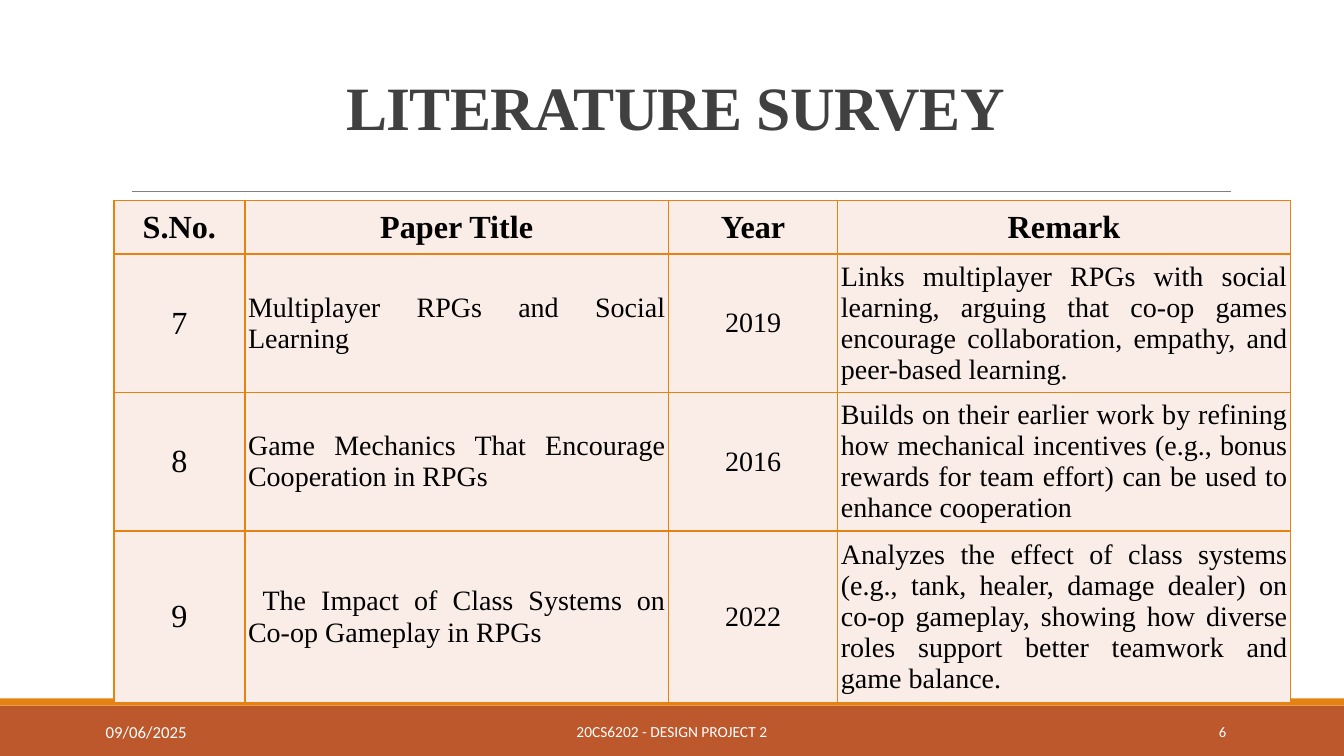
from lxml.etree import SubElement
from pptx import Presentation
from pptx.dml.color import RGBColor
from pptx.enum.shapes import MSO_CONNECTOR, MSO_SHAPE
from pptx.enum.text import MSO_ANCHOR, MSO_AUTO_SIZE, PP_ALIGN
from pptx.oxml.ns import qn
from pptx.util import Emu, Pt

SERIF = "Times New Roman"
SANS = "Calibri"
ORANGE = "E48312"
RUST = "BD582C"
WHITE = "FFFFFF"
BLACK = "000000"

HEADINGS = ("S.No.", "Paper Title", "Year", "Remark")
PAPERS = (
    ("7", "Multiplayer RPGs and Social Learning", "2019",
     "Links multiplayer RPGs with social learning, arguing that co-op games "
     "encourage collaboration, empathy, and peer-based learning."),
    ("8", "Game Mechanics That Encourage Cooperation in RPGs", "2016",
     "Builds on their earlier work by refining how mechanical incentives "
     "(e.g., bonus rewards for team effort) can be used to enhance cooperation"),
    ("9", " The Impact of Class Systems on Co-op Gameplay in RPGs", "2022",
     "Analyzes the effect of class systems (e.g., tank, healer, damage dealer) "
     "on co-op gameplay, showing how diverse roles support better teamwork "
     "and game balance."),
)
COLUMN_WIDTHS = (130, 420, 168, 449)
ROW_HEIGHTS = (53, 137, 137, 170)
BODY_SIZES = (23, 20, 20, 20)
BODY_ALIGNMENTS = (PP_ALIGN.CENTER, PP_ALIGN.JUSTIFY, PP_ALIGN.CENTER, PP_ALIGN.JUSTIFY)


def px(length):
    return Emu(length * 9144)


def colour(value):
    return RGBColor.from_string(value)


class SurveyPage:
    """Draws styled elements on one slide, in px of a hundredth of an inch."""

    def __init__(self, deck):
        self.page = deck.slides.add_slide(deck.slide_layouts[5])

    def set_text(self, frame, text, size, font, ink, align, bold=False):
        frame.text = text
        para = frame.paragraphs[0]
        para.alignment = align
        span = para.runs[0]
        span.font.size = Pt(size)
        span.font.name = font
        span.font.bold = bold
        span.font.color.rgb = colour(ink)
        return para

    def title(self, box, text):
        title = self.page.shapes.title
        title.left, title.top, title.width, title.height = map(px, box)
        frame = title.text_frame
        frame.auto_size = MSO_AUTO_SIZE.NONE
        frame.vertical_anchor = MSO_ANCHOR.MIDDLE
        para = self.set_text(frame, text, 44, SERIF, "404040", PP_ALIGN.CENTER, True)
        para.line_spacing = 0.85
        para.runs[0].font._element.set("spc", "-50")

    def band(self, box, fill):
        band = self.page.shapes.add_shape(MSO_SHAPE.RECTANGLE, *map(px, box))
        band.shadow.inherit = False
        band.fill.solid()
        band.fill.fore_color.rgb = colour(fill)
        band.line.fill.background()

    def rule(self, left, right, top):
        rule = self.page.shapes.add_connector(
            MSO_CONNECTOR.STRAIGHT, *map(px, (left, top, right, top)))
        rule.line.color.rgb = colour("808080")
        rule.line.width = Pt(0.5)
        SubElement(rule._element.spPr, qn("a:effectLst"))

    def label(self, box, text, size, align, anchor=MSO_ANCHOR.MIDDLE):
        frame = self.page.shapes.add_textbox(*map(px, box)).text_frame
        frame.word_wrap = True
        frame.vertical_anchor = anchor
        self.set_text(frame, text, size, SANS, WHITE, align)

    def cell(self, cell, text, size, align, bold):
        cell.margin_left = cell.margin_right = px(3)
        cell.margin_top = cell.margin_bottom = px(2)
        cell.vertical_anchor = MSO_ANCHOR.MIDDLE
        properties = cell._tc.get_or_add_tcPr()
        for side in ("a:lnL", "a:lnR", "a:lnT", "a:lnB"):
            border = SubElement(properties, qn(side), w=str(Pt(1)))
            fill = SubElement(border, qn("a:solidFill"))
            SubElement(fill, qn("a:srgbClr"), val=ORANGE)
        cell.fill.solid()
        cell.fill.fore_color.rgb = colour("FAEDE7")
        self.set_text(cell.text_frame, text, size, SERIF, BLACK, align, bold)

    def table(self, left, top):
        rows = (HEADINGS, *PAPERS)
        box = (left, top, sum(COLUMN_WIDTHS), sum(ROW_HEIGHTS))
        table = self.page.shapes.add_table(
            len(rows), len(HEADINGS), *map(px, box)).table
        for column, width in zip(table.columns, COLUMN_WIDTHS):
            column.width = px(width)
        for row, height in zip(table.rows, ROW_HEIGHTS):
            row.height = px(height)
        for row_number, texts in enumerate(rows):
            heading = row_number == 0
            for column_number, text in enumerate(texts):
                size = 23 if heading else BODY_SIZES[column_number]
                align = PP_ALIGN.CENTER if heading else BODY_ALIGNMENTS[column_number]
                self.cell(table.cell(row_number, column_number),
                          text, size, align, heading)


def main():
    deck = Presentation()
    deck.slide_width, deck.slide_height = px(1333), px(750)
    survey = SurveyPage(deck)
    survey.band((0, 700, 1333, 50), RUST)
    survey.band((0, 693, 1333, 7), ORANGE)
    survey.rule(131, 1221, 190)
    survey.title((120, 31, 1100, 159), "LITERATURE SURVEY")
    survey.label((403, 706, 527, 40), "20CS6202 - DESIGN PROJECT 2", 11, PP_ALIGN.CENTER)
    survey.label((1083, 706, 143, 40), "6", 10.5, PP_ALIGN.RIGHT)
    survey.label((95, 711, 259, 30), "09/06/2025", 12, PP_ALIGN.LEFT, MSO_ANCHOR.TOP)
    survey.table(113, 199)
    deck.save("out.pptx")


if __name__ == "__main__":
    main()
